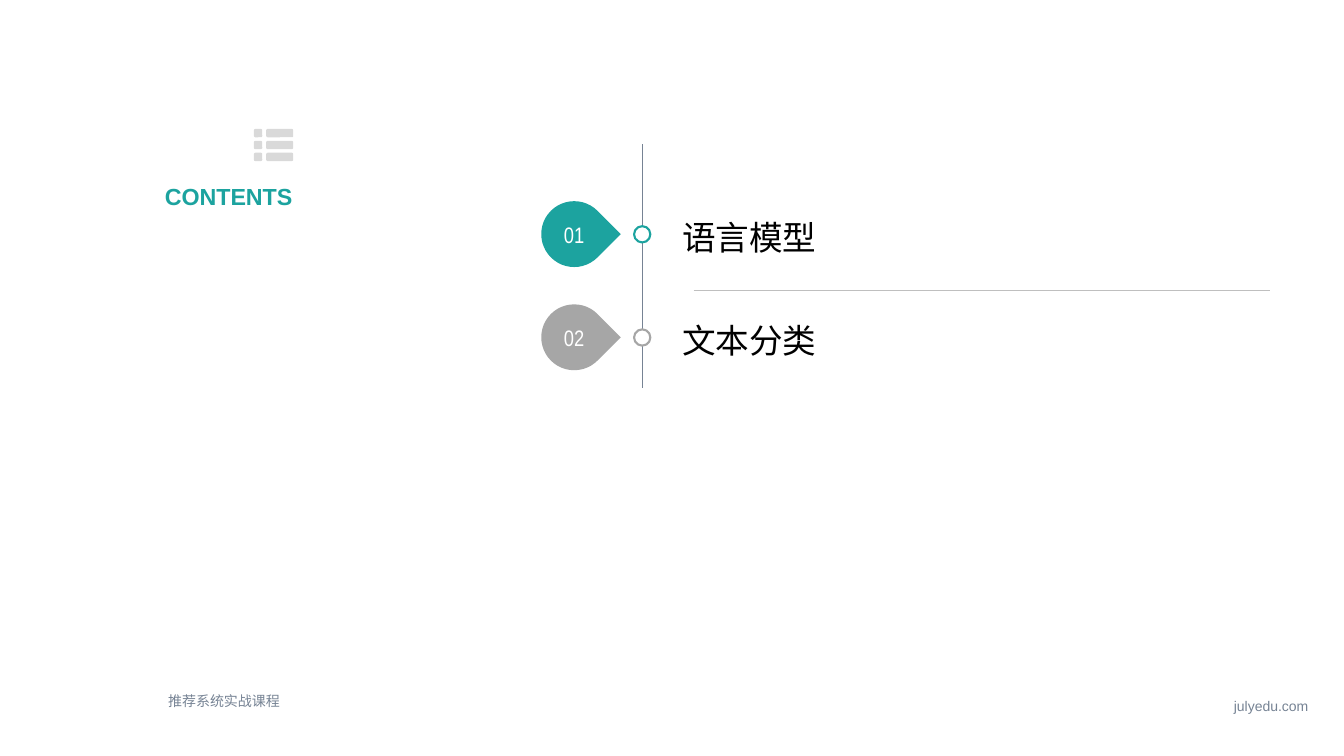
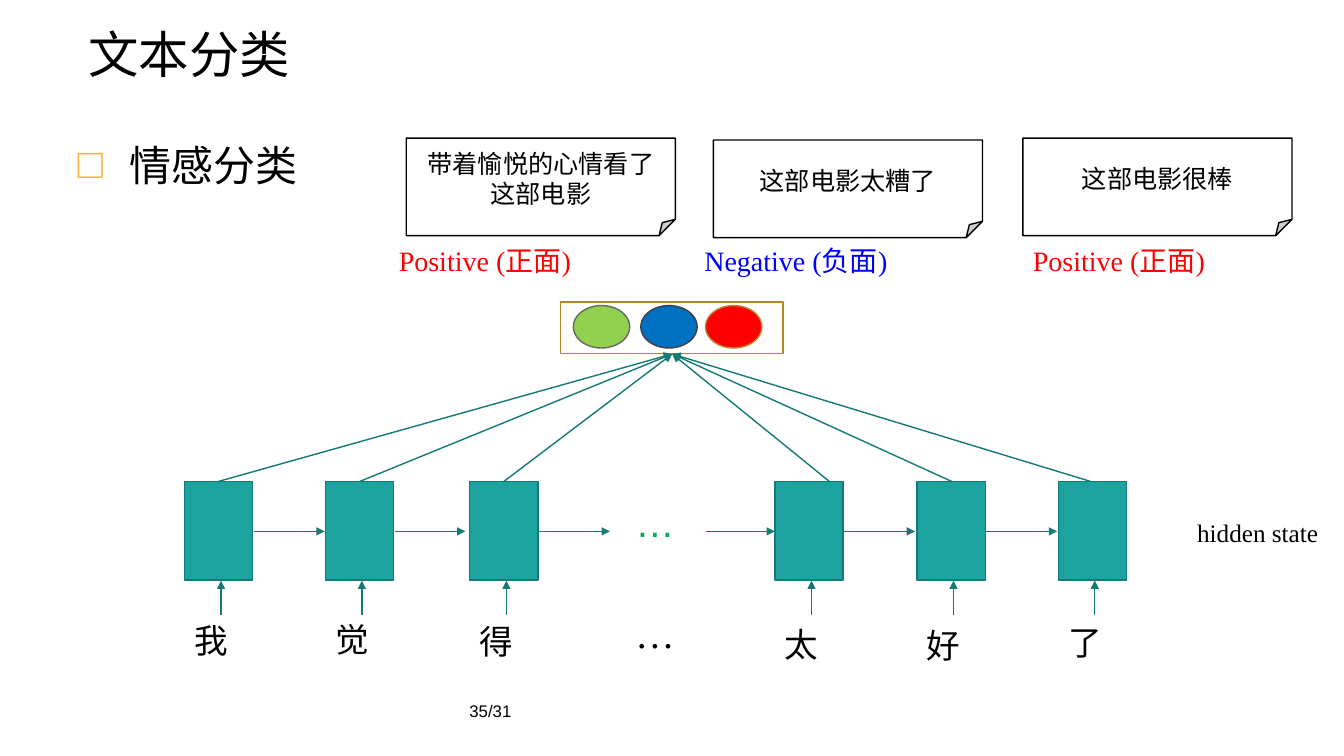
from lxml.etree import SubElement
from pptx import Presentation
from pptx.dml.color import RGBColor
from pptx.enum.shapes import MSO_CONNECTOR, MSO_SHAPE
from pptx.enum.text import MSO_ANCHOR, MSO_AUTO_SIZE, PP_ALIGN
from pptx.oxml.ns import qn
from pptx.util import Cm, Pt

LEFT, MID, RIGHT = PP_ALIGN.LEFT, PP_ALIGN.CENTER, PP_ALIGN.RIGHT
TOP, CENTER = MSO_ANCHOR.TOP, MSO_ANCHOR.MIDDLE
OVAL, RECT, ROUND = MSO_SHAPE.OVAL, MSO_SHAPE.RECTANGLE, MSO_SHAPE.ROUNDED_RECTANGLE
DROP, NOTE = MSO_SHAPE.TEAR, MSO_SHAPE.FOLDED_CORNER
WIRE = MSO_CONNECTOR.STRAIGHT

TEAL, DARK, GREY, SLATE = "1CA39F", "157976", "A6A6A6", "768394"
BLACK, WHITE, RED, BLUE, GOLD = "000000", "FFFFFF", "FF0000", "0000FF", "BA842B"
SANS, SERIF, SLIM = "Arial", "Times New Roman", "Arial Narrow"
rgb = RGBColor.from_string


def write(shape, text, size, color=BLACK, font=SANS, bold=False, align=LEFT,
          anchor=TOP, wrap=True, lead=1.0):
    frame = shape.text_frame
    frame.auto_size = MSO_AUTO_SIZE.NONE
    frame.word_wrap = wrap
    frame.vertical_anchor = anchor
    para = frame.paragraphs[0]
    para.alignment = align
    para.line_spacing = lead
    para.space_before = Pt(0)
    run = para.add_run()
    run.text = text
    run.font.name = font
    run.font.size = Pt(size)
    run.font.bold = bold
    run.font.color.rgb = rgb(color)
    return para


def dress(shape, fill=None, line=None, width=1, arrow=False):
    if fill:
        shape.fill.solid()
        shape.fill.fore_color.rgb = rgb(fill)
    elif hasattr(shape, "fill"):
        shape.fill.background()
    if line:
        shape.line.color.rgb = rgb(line)
        shape.line.width = Pt(width)
    else:
        shape.line.fill.background()
    if arrow:
        SubElement(shape.line._get_or_add_ln(), qn("a:tailEnd"), type="triangle")
    SubElement(shape._element.spPr, qn("a:effectLst"))
    return shape


deck = Presentation()
deck.slide_width, deck.slide_height = Cm(33.87), Cm(19.05)

slide = deck.slides.add_slide(deck.slide_layouts[5])
parts = slide.shapes
title = parts.title
title.left, title.top, title.width, title.height = map(Cm, (1.85, 4.5, 5.77, 0.89))
write(title, "CONTENTS", 16.6, TEAL, bold=True, align=RIGHT, anchor=CENTER)

for row in range(3):
    for x, width in ((6.4, 0.21), (6.71, 0.68)):
        bar = parts.add_shape(ROUND, Cm(x), Cm(3.25 + 0.3 * row), Cm(width), Cm(0.21))
        dress(bar, "D9D9D9")

dress(parts.add_connector(WIRE, *map(Cm, (16.18, 3.63, 16.18, 9.78))), line=SLATE, width=0.5)
dress(parts.add_connector(WIRE, *map(Cm, (17.48, 7.32, 32, 7.32))), line="BFBFBF", width=0.25)

items = (("01", "语言模型", TEAL), ("02", "文本分类", GREY))
for row, (mark, topic, color) in enumerate(items):
    y = 5.9 + 2.6 * row
    dot = parts.add_shape(OVAL, *map(Cm, (15.98, y - 0.2, 0.41, 0.41)))
    dress(dot, WHITE, color, 1.5)
    drop = parts.add_shape(DROP, *map(Cm, (13.64, y - 0.83, 1.66, 1.66)))
    dress(drop, color).rotation = 45
    disc = parts.add_shape(OVAL, *map(Cm, (13.67, y - 0.8, 1.6, 1.6)))
    write(dress(disc), mark, 16, WHITE, SLIM, align=MID, anchor=CENTER, wrap=False)
    box = parts.add_textbox(*map(Cm, (16.94, y - 0.62, 15.06, 1.19)))
    write(box, topic, 24, anchor=CENTER, lead=1.2)

box = parts.add_textbox(*map(Cm, (26.57, 17.45, 6.65, 0.69)))
write(box, "julyedu.com", 10, SLATE, align=RIGHT)
box = parts.add_textbox(*map(Cm, (3.99, 17.32, 11.5, 0.58)))
write(box, "推荐系统实战课程", 10, SLATE)

slide = deck.slides.add_slide(deck.slide_layouts[1])
parts = slide.shapes
title = parts.title
title.left, title.top, title.width, title.height = map(Cm, (2.13, 0.46, 29.74, 1.75))
write(title, "文本分类", 36, anchor=CENTER)
frame = title.text_frame
frame.margin_left = frame.margin_right = frame.margin_top = frame.margin_bottom = Cm(0.1)

body = slide.placeholders[1]
body.left, body.top, body.width, body.height = map(Cm, (1.7, 3.38, 30.48, 13.72))
para = write(body, "情感分类", 30, font=SERIF)
props = para._p.get_or_add_pPr()
props.set("marL", str(Cm(1.3)))
props.set("indent", str(-Cm(1.3)))
SubElement(SubElement(props, qn("a:buClr")), qn("a:srgbClr"), val="FCB33A")
SubElement(props, qn("a:buChar"), char="□")

notes = (
    (10.24, 3.48, "带着愉悦的心情看了这部电影", 9.8, "Positive (正面)", RED),
    (17.98, 3.53, "这部电影太糟了", 17.5, "Negative (负面)", BLUE),
    (25.78, 3.48, "这部电影很棒", 25.78, "Positive (正面)", RED),
)
for x, y, quote, left, mood, color in notes:
    note = parts.add_shape(NOTE, *map(Cm, (x, y, 6.78, 2.46)))
    write(dress(note, WHITE, BLACK), quote, 18, align=MID, anchor=CENTER)
    box = parts.add_textbox(*map(Cm, (left, 6.02, 7.95, 1.12)))
    write(box, mood, 20, color, SERIF)

dress(parts.add_shape(RECT, *map(Cm, (14.13, 7.61, 5.6, 1.3))), line=GOLD)
balls = ((14.45, "92D050", "67685D"), (16.15, "0070C0", "413F46"), (17.78, RED, GOLD))
for x, fill, line in balls:
    dress(parts.add_shape(OVAL, *map(Cm, (x, 7.7, 1.42, 1.07))), fill, line)

cells = (
    ("我", 4.65, 15.49, 5.51), ("觉", 8.2, 15.47, 9.07), ("得", 11.84, 15.52, 12.7),
    ("太", 19.53, 15.6, 20.9), ("好", 23.11, 15.62, 23.98), ("了", 26.67, 15.54, 27.48),
)
wires = [(17.78, 13.39, 19.53, 13.39)]
for word, x, y, start in cells:
    dress(parts.add_shape(RECT, *map(Cm, (x, 12.13, 1.72, 2.49))), TEAL, DARK)
    box = parts.add_textbox(*map(Cm, (x, y, 1.37, 1.27)))
    write(box, word, 24, wrap=False)
    wires.append((x + 0.92, 15.49, x + 0.92, 14.63))
    wires.append((start, 12.13, 16.94, 8.92))
for word, x, y, start in cells[:-1]:
    wires.append((x + 1.75, 13.39, x + 3.53, 13.39))
for ends in wires:
    dress(parts.add_connector(WIRE, *map(Cm, ends)), line=DARK, arrow=True)

for y, color, font in ((12.42, "00B050", SANS), (15.24, BLACK, SERIF)):
    box = parts.add_textbox(*map(Cm, (14.46, y, 4.09, 1.45)))
    write(box, "…", 28, color, font, align=MID)
box = parts.add_textbox(*map(Cm, (29.92, 12.9, 3.95, 1.02)))
write(box, "hidden state", 18, font=SERIF)
box = parts.add_textbox(*map(Cm, (11.58, 17.53, 10.72, 1.32)))
write(box, "35/31", 12)

deck.save("out.pptx")
